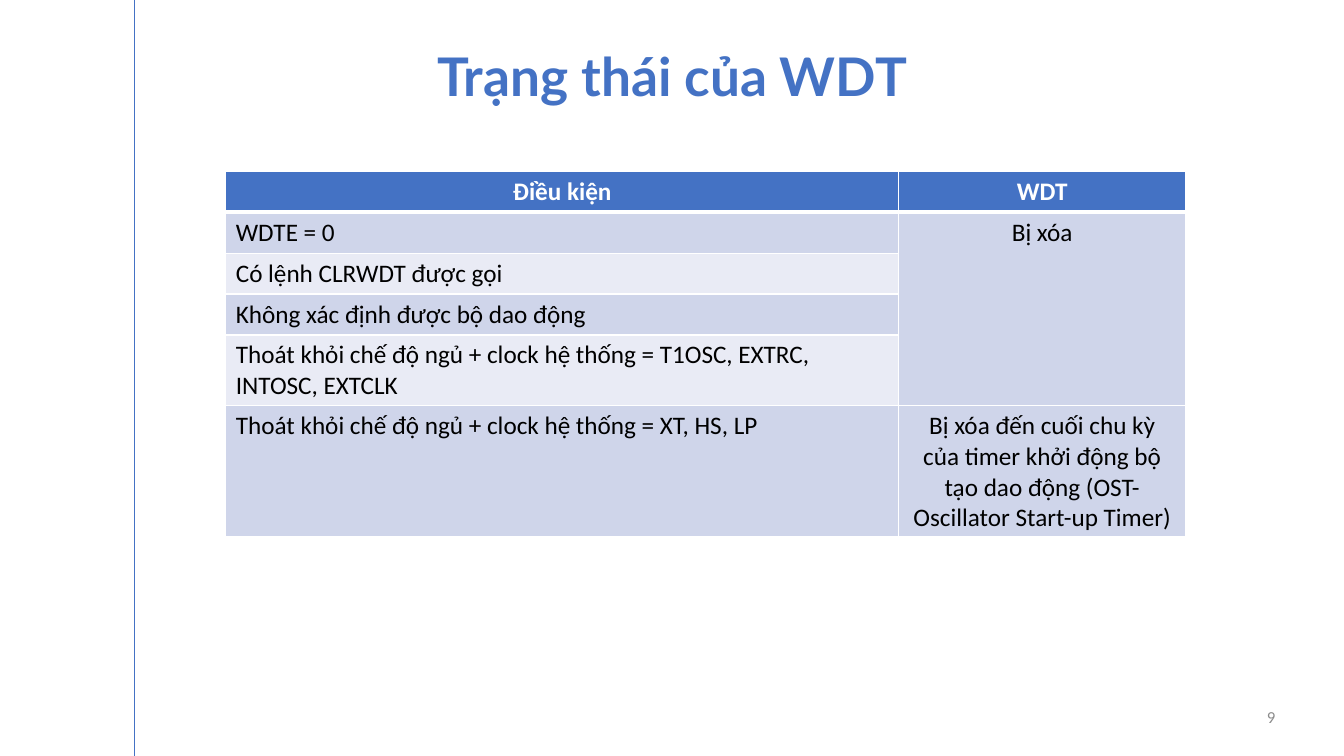
from lxml import etree
from pptx import Presentation
from pptx.dml.color import RGBColor
from pptx.enum.shapes import MSO_CONNECTOR
from pptx.enum.text import MSO_ANCHOR, PP_ALIGN
from pptx.oxml.ns import qn
from pptx.util import Cm, Pt

LEFT, CENTER, RIGHT = PP_ALIGN.LEFT, PP_ALIGN.CENTER, PP_ALIGN.RIGHT
TOP, MIDDLE = MSO_ANCHOR.TOP, MSO_ANCHOR.MIDDLE

# Content
TITLE = "Trạng thái của WDT"
PAGE_NUMBER = "9"
ROWS = [
    ("Điều kiện", "WDT"),
    ("WDTE = 0", "Bị xóa"),
    ("Có lệnh CLRWDT được gọi", None),
    ("Không xác định được bộ dao động", None),
    ("Thoát khỏi chế độ ngủ + clock hệ thống = T1OSC, EXTRC, INTOSC, EXTCLK", None),
    ("Thoát khỏi chế độ ngủ + clock hệ thống = XT, HS, LP",
     "Bị xóa đến cuối chu kỳ của timer khởi động bộ tạo dao động "
     "(OST- Oscillator Start-up Timer)"),
]
CLEARED_ROWS = (1, 4)  # first and last row sharing one state

# Format
COLORS = {"accent": "4472C4", "dark_band": "CFD5EA", "light_band": "E9EBF5",
          "white": "FFFFFF", "black": "000000", "gray": "8C8C8C"}
COLUMN_WIDTHS = [Cm(16.96), Cm(7.23)]
ROW_HEIGHTS = [Cm(1.03)] * 4 + [Cm(1.78), Cm(3.3)]


def color(name):
    return RGBColor.from_string(COLORS[name])


def write(frame, text, size=18, font="Calibri", ink="black", bold=False, align=LEFT):
    para = frame.paragraphs[0]
    para.alignment = align
    span = para.add_run()
    span.text = text
    span.font.size, span.font.name, span.font.bold = Pt(size), font, bold
    span.font.color.rgb = color(ink)


def add_text(page, text, left, top, width, height, anchor=TOP, **style):
    box = page.shapes.add_textbox(left, top, width, height)
    box.text_frame.word_wrap = True
    box.text_frame.vertical_anchor = anchor
    write(box.text_frame, text, **style)


def set_borders(cell, **widths):
    properties = cell._tc.get_or_add_tcPr()
    for place, side in enumerate("LRTB"):
        line = etree.Element(qn(f"a:ln{side}"), w=str(Pt(widths.get(side, 1))))
        fill = etree.SubElement(line, qn("a:solidFill"))
        etree.SubElement(fill, qn("a:srgbClr"), val=COLORS["white"])
        properties.insert(place, line)


deck = Presentation()
deck.slide_width, deck.slide_height = Cm(33.87), Cm(19.05)
page = deck.slides.add_slide(deck.slide_layouts[6])

# Margin line
margin = page.shapes.add_connector(
    MSO_CONNECTOR.STRAIGHT, Cm(3.39), 0, Cm(3.39), deck.slide_height)
margin.line.color.rgb = color("accent")
margin.line.width = Pt(0.5)
etree.SubElement(margin._element.spPr, qn("a:effectLst"))

# Page number and title
add_text(page, PAGE_NUMBER, Cm(31.27), Cm(17.55), Cm(1.12), Cm(1.02),
         anchor=MIDDLE, size=12, ink="gray", align=RIGHT)
add_text(page, TITLE, Cm(7.7), Cm(0.97), Cm(18.49), Cm(1.88),
         size=38, font="Lato", ink="accent", bold=True, align=CENTER)

# State table
table = page.shapes.add_table(
    len(ROWS), len(COLUMN_WIDTHS), Cm(5.69), Cm(4.32),
    sum(COLUMN_WIDTHS), sum(ROW_HEIGHTS)).table
for column, width in zip(table.columns, COLUMN_WIDTHS):
    column.width = width
for row, height in zip(table.rows, ROW_HEIGHTS):
    row.height = height

for row_index, texts in enumerate(ROWS):
    header = row_index == 0
    band = "accent" if header else "dark_band" if row_index % 2 else "light_band"
    for column_index, text in enumerate(texts):
        cell = table.cell(row_index, column_index)
        cell.fill.solid()
        cell.fill.fore_color.rgb = color(band if text else "dark_band")
        set_borders(cell, B=3 if header else 1, T=3 if row_index == 1 else 1)
        if text:
            write(cell.text_frame, text, bold=header,
                  ink="white" if header else "black",
                  align=CENTER if header or column_index else LEFT)

first, last = CLEARED_ROWS
table.cell(first, 1).merge(table.cell(last, 1))

deck.save("out.pptx")
